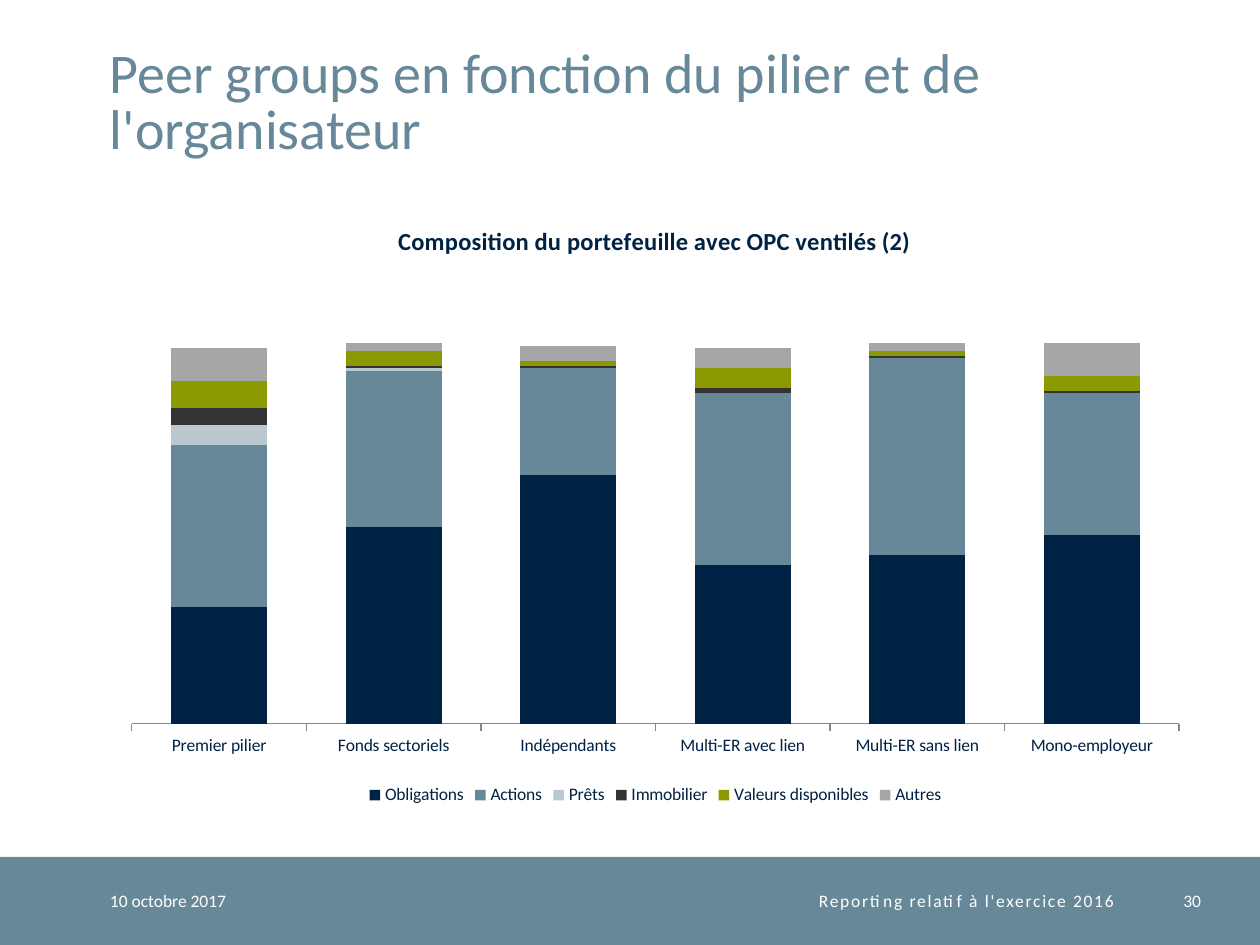
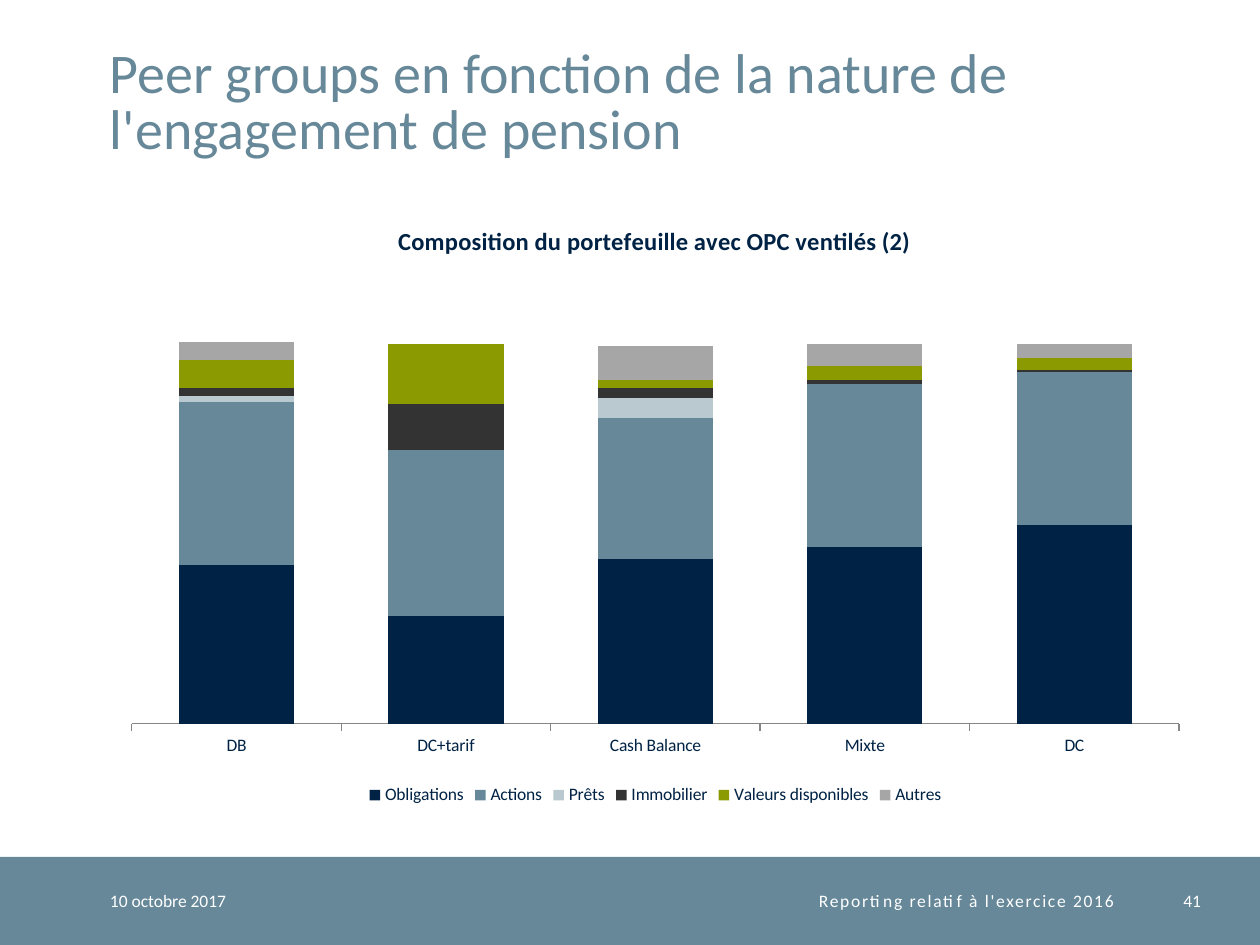
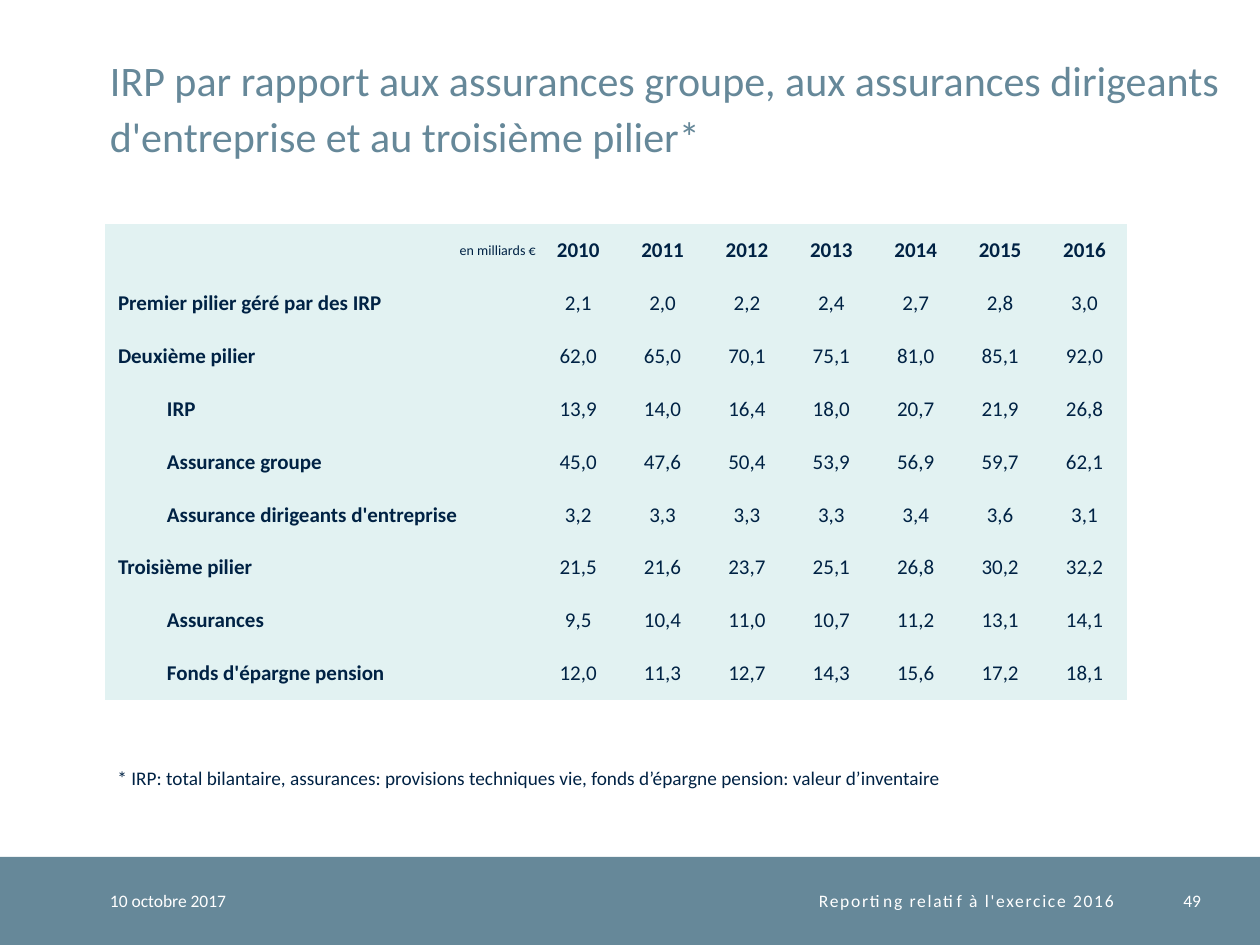
from dataclasses import dataclass

from lxml import etree
from pptx import Presentation
from pptx.chart.data import CategoryChartData
from pptx.dml.color import RGBColor
from pptx.enum.chart import XL_CHART_TYPE, XL_LEGEND_POSITION, XL_TICK_MARK
from pptx.enum.shapes import MSO_SHAPE
from pptx.enum.text import MSO_ANCHOR, MSO_AUTO_SIZE, PP_ALIGN
from pptx.oxml.ns import qn
from pptx.util import Pt

SCALE = 914400 / 126
BAND_TOP, BAND_HEIGHT = 857, 88
NO_TABLE_STYLE = "{2D5ABB26-0587-4C30-8999-92F81FD0307C}"


@dataclass(frozen=True)
class Theme:
    font: str = "Calibri"
    navy: str = "002244"
    steel: str = "668899"
    white: str = "FFFFFF"
    axis: str = "868686"
    table_fill: str = "E2F2F2"
    title: int = 32
    long_title: int = 24
    chart_title: int = 14
    table: int = 12
    note: int = 11
    small: int = 10
    unit: int = 8


THEME = Theme()

SERIES_COLORS = {
    "Obligations": THEME.navy,
    "Actions": THEME.steel,
    "Prêts": "BAC9D0",
    "Immobilier": "333333",
    "Valeurs disponibles": "8B9A00",
    "Autres": "A6A6A6",
}

CHART_SLIDES = [
    ("Peer groups en fonction du pilier et de l'organisateur", 30, {
        "Premier pilier": (47, 65, 8, 7, 11, 13),
        "Fonds sectoriels": (79, 63, 1, 1, 6, 3),
        "Indépendants": (100, 43, 0, 1, 2, 6),
        "Multi-ER avec lien": (64, 69, 0, 2, 8, 8),
        "Multi-ER sans lien": (68, 79, 0, 1, 2, 3),
        "Mono-employeur": (76, 57, 0, 1, 6, 13),
    }),
    ("Peer groups en fonction de la nature de l'engagement de pension", 41, {
        "DB": (80, 82, 3, 4, 14, 9),
        "DC+tarif": (54, 84, 0, 23, 30, 0),
        "Cash Balance": (83, 71, 10, 5, 4, 17),
        "Mixte": (89, 82, 0, 2, 7, 11),
        "DC": (100, 77, 0, 1, 6, 7),
    }),
]

# Indent level, label, yearly amounts
YEARS = "2010 2011 2012 2013 2014 2015 2016"
PILLARS = [
    (0, "Premier pilier géré par des IRP", "2,1 2,0 2,2 2,4 2,7 2,8 3,0"),
    (0, "Deuxième pilier", "62,0 65,0 70,1 75,1 81,0 85,1 92,0"),
    (1, "IRP", "13,9 14,0 16,4 18,0 20,7 21,9 26,8"),
    (1, "Assurance groupe", "45,0 47,6 50,4 53,9 56,9 59,7 62,1"),
    (1, "Assurance dirigeants d'entreprise", "3,2 3,3 3,3 3,3 3,4 3,6 3,1"),
    (0, "Troisième pilier", "21,5 21,6 23,7 25,1 26,8 30,2 32,2"),
    (1, "Assurances", "9,5 10,4 11,0 10,7 11,2 13,1 14,1"),
    (1, "Fonds d'épargne pension", "12,0 11,3 12,7 14,3 15,6 17,2 18,1"),
]


def px(*lengths):
    return [round(length * SCALE) for length in lengths]


def rgb(color):
    return RGBColor.from_string(color)


def style_font(font, size, color, bold=False):
    font.name = THEME.font
    font.size = Pt(size)
    font.bold = bold
    font.color.rgb = rgb(color)


def add_run(p, text, size, color, bold=False):
    r = p.add_run()
    r.text = text
    style_font(r.font, size, color, bold)
    return r


def clear_margins(frame):
    frame.margin_left = frame.margin_right = 0
    frame.margin_top = frame.margin_bottom = 0


def add_band(slide):
    """Draw the footer band and move it to the layout, so that every slide shows it."""
    sp = slide.shapes.add_shape(MSO_SHAPE.RECTANGLE, *px(0, BAND_TOP, 1260, BAND_HEIGHT))
    sp.shadow.inherit = False
    sp.fill.solid()
    sp.fill.fore_color.rgb = rgb(THEME.steel)
    sp.line.fill.background()
    slide.slide_layout.shapes.element.append(sp.element)


def add_footer_text(slide, left, width, text, align=PP_ALIGN.RIGHT, spacing=0):
    tf = slide.shapes.add_textbox(*px(left, BAND_TOP, width, BAND_HEIGHT)).text_frame
    clear_margins(tf)
    tf.word_wrap = True
    tf.vertical_anchor = MSO_ANCHOR.MIDDLE
    p = tf.paragraphs[0]
    p.alignment = align
    r = add_run(p, text, THEME.small, THEME.white)
    if spacing:
        r.font._element.set("spc", str(spacing * 100))


def set_title(slide, text, size, width):
    sp = slide.shapes.title
    sp.left, sp.top, sp.width, sp.height = px(110, 25, width, 136)
    tf = sp.text_frame
    clear_margins(tf)
    tf.word_wrap = True
    tf.auto_size = MSO_AUTO_SIZE.NONE
    tf.vertical_anchor = MSO_ANCHOR.BOTTOM
    p = tf.paragraphs[0]
    p.alignment = PP_ALIGN.LEFT
    p.line_spacing = Pt(32)
    add_run(p, text, size, THEME.steel)


def add_slide(prs, title, number, size=THEME.title, title_width=1087):
    slide = prs.slides.add_slide(prs.slide_layouts[5])
    if len(prs.slides) == 1:
        add_band(slide)
    set_title(slide, title, size, title_width)
    add_footer_text(slide, 110, 223, "10 octobre 2017", PP_ALIGN.LEFT)
    add_footer_text(slide, 333, 781, "Reporting relatif à l'exercice 2016", spacing=1)
    add_footer_text(slide, 1139, 62, str(number))
    return slide


def place(parent, **settings):
    """Give a chart part a manual layout, in fractions of the chart."""
    layout = parent.find(qn("c:layout"))
    if layout is None:
        layout = etree.Element(qn("c:layout"))
        text = parent.find(qn("c:tx"))
        parent.insert(0 if text is None else 1, layout)
    manual = etree.SubElement(layout, qn("c:manualLayout"))
    for name, value in settings.items():
        etree.SubElement(manual, qn(f"c:{name}")).set("val", str(value))


def add_portfolio_chart(slide, portfolios):
    data = CategoryChartData()
    data.categories = list(portfolios)
    for name, values in zip(SERIES_COLORS, zip(*portfolios.values())):
        data.add_series(name, values)
    chart = slide.shapes.add_chart(
        XL_CHART_TYPE.COLUMN_STACKED, *px(110, 195, 1091, 615), data).chart
    style_font(chart.font, THEME.small, THEME.navy)

    chart.has_title = True
    title = chart.chart_title
    add_run(title.text_frame.paragraphs[0],
            "Composition du portefeuille avec OPC ventilés (2)",
            THEME.chart_title, THEME.navy, bold=True)
    title.include_in_layout = False
    place(title._element, xMode="edge", yMode="edge", x=0.26, y=0.04)

    chart.has_legend = True
    chart.legend.position = XL_LEGEND_POSITION.BOTTOM
    chart.legend.include_in_layout = False

    value_axis = chart.value_axis
    value_axis.visible = False
    value_axis.has_major_gridlines = False
    value_axis.minimum_scale = 0
    mean_total = sum(map(sum, portfolios.values())) / len(portfolios)
    value_axis.maximum_scale = round(1.2 * mean_total)
    value_axis.tick_labels.number_format = "0.00%"
    value_axis.tick_labels.number_format_is_linked = False
    category_axis = chart.category_axis
    category_axis.major_tick_mark = XL_TICK_MARK.OUTSIDE
    category_axis.format.line.color.rgb = rgb(THEME.axis)

    plot = chart.plots[0]
    plot.gap_width = 82
    plot.overlap = 100
    plot.vary_by_categories = False
    for series, color in zip(plot.series, SERIES_COLORS.values()):
        series.format.fill.solid()
        series.format.fill.fore_color.rgb = rgb(color)
    place(chart._chartSpace.chart.plotArea, layoutTarget="inner",
          xMode="edge", yMode="edge", x=0.02, y=0.12, w=0.96, h=0.74)


def fill_cell(cell, text, align, size=THEME.table, bold=False, indent=0):
    clear_margins(cell)
    cell.margin_left = px(indent)[0]
    cell.vertical_anchor = MSO_ANCHOR.MIDDLE
    cell.fill.solid()
    cell.fill.fore_color.rgb = rgb(THEME.table_fill)
    p = cell.text_frame.paragraphs[0]
    p.alignment = align
    add_run(p, text, size, THEME.navy, bold)


def add_pillar_table(slide):
    years = YEARS.split()
    width, label_width = 1022, 431
    table = slide.shapes.add_table(
        len(PILLARS) + 1, len(years) + 1, *px(105, 224, width, 476)).table
    table.first_row = table.horz_banding = False
    table._tbl.tblPr.find(qn("a:tableStyleId")).text = NO_TABLE_STYLE
    year_width = (width - label_width) / len(years)
    for column, column_width in zip(table.columns, [label_width] + [year_width] * len(years)):
        column.width = px(column_width)[0]

    fill_cell(table.cell(0, 0), "en milliards €", PP_ALIGN.RIGHT, THEME.unit, indent=13)
    for col, year in enumerate(years, 1):
        fill_cell(table.cell(0, col), year, PP_ALIGN.CENTER, bold=True)
    for row, (level, label, amounts) in enumerate(PILLARS, 1):
        fill_cell(table.cell(row, 0), label, PP_ALIGN.LEFT, bold=True, indent=13 + 49 * level)
        for col, amount in enumerate(amounts.split(), 1):
            fill_cell(table.cell(row, col), amount, PP_ALIGN.CENTER)


def add_footnote(slide, text):
    tf = slide.shapes.add_textbox(*px(105, 760, 1022, 36)).text_frame
    tf.word_wrap = True
    add_run(tf.paragraphs[0], text, THEME.note, THEME.navy)


def main():
    prs = Presentation()
    prs.slide_width, prs.slide_height = px(1260, 945)
    for title, number, portfolios in CHART_SLIDES:
        add_portfolio_chart(add_slide(prs, title, number), portfolios)
    slide = add_slide(
        prs, "IRP par rapport aux assurances groupe, aux assurances dirigeants "
        "d'entreprise et au troisième pilier*", 49, THEME.long_title, 1116)
    add_pillar_table(slide)
    add_footnote(slide, "* IRP: total bilantaire, assurances: provisions techniques vie, "
                 "fonds d’épargne pension: valeur d’inventaire")
    prs.save("out.pptx")


if __name__ == "__main__":
    main()
